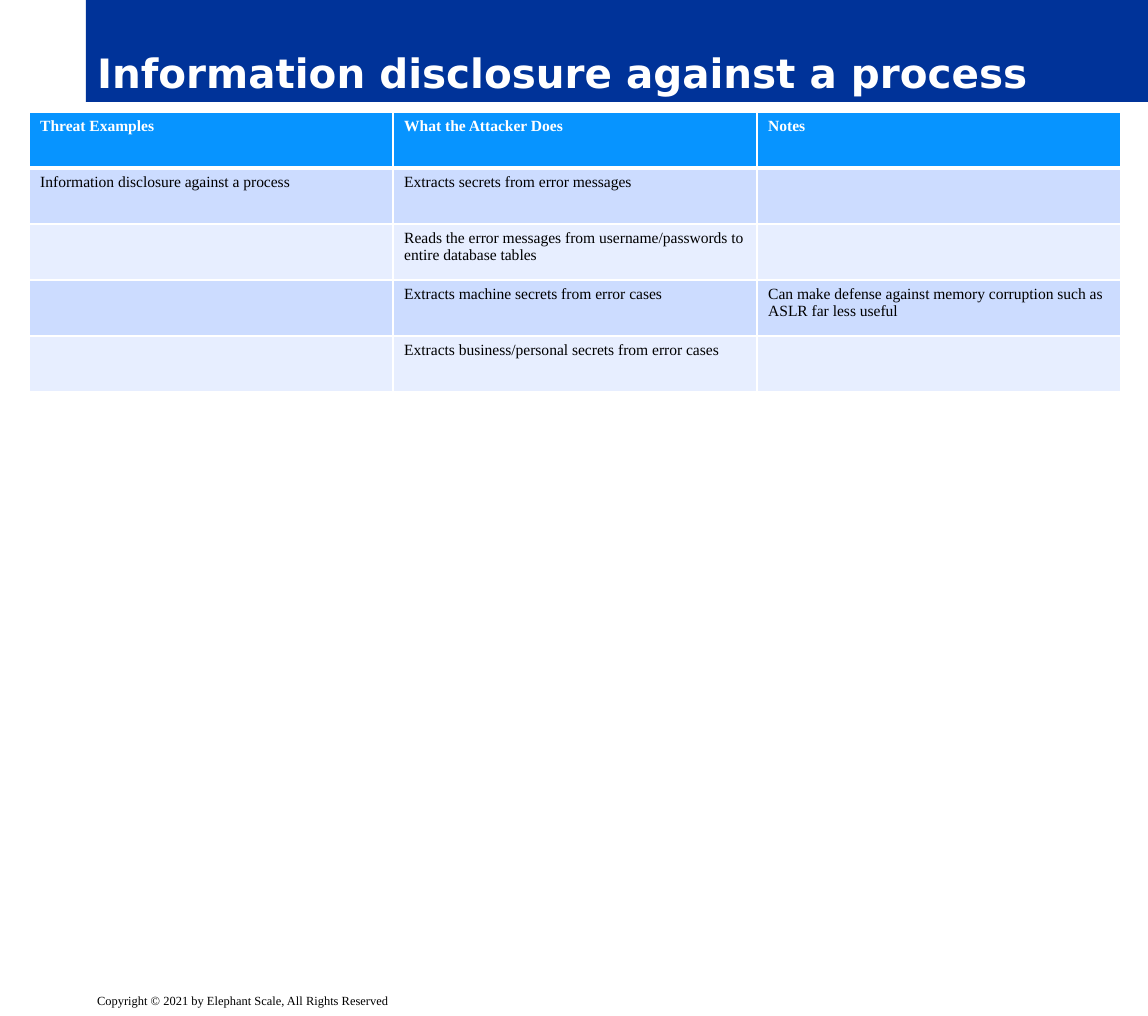
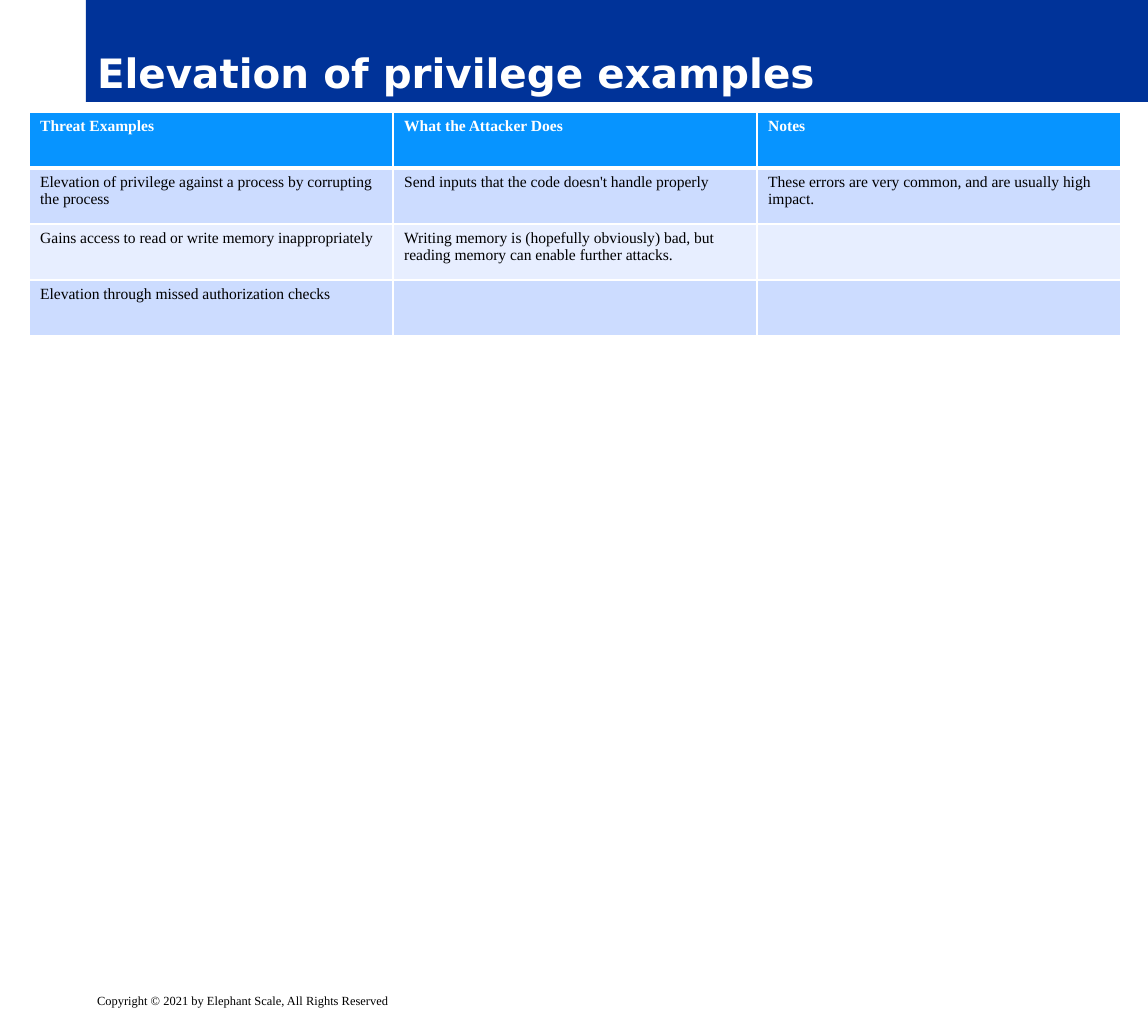
from dataclasses import dataclass

from lxml import etree
from pptx import Presentation
from pptx.dml.color import RGBColor
from pptx.enum.shapes import MSO_SHAPE
from pptx.enum.text import MSO_ANCHOR, PP_ALIGN
from pptx.oxml.ns import qn
from pptx.slide import Slide
from pptx.text.text import TextFrame
from pptx.util import Emu, Pt

RECT = MSO_SHAPE.RECTANGLE
TOP, BOTTOM = MSO_ANCHOR.TOP, MSO_ANCHOR.BOTTOM
LEFT = PP_ALIGN.LEFT


@dataclass(frozen=True)
class Style:
    font: str
    size: int
    color: str
    bold: bool = False


@dataclass(frozen=True)
class Theme:
    white: str = "FFFFFF"
    band: str = "003399"
    header: str = "0794FF"
    stripes: tuple[str, str] = ("CCDCFF", "E7EEFF")
    title: Style = Style("DejaVu Sans", 26, "FFFFFF", True)
    head: Style = Style("Times New Roman", 10, "FFFFFF", True)
    body: Style = Style("Times New Roman", 10, "000000")
    footer: Style = Style("Times New Roman", 8, "000000")
    thin: int = 1
    thick: int = 3


@dataclass(frozen=True)
class Box:
    left: int
    top: int
    width: int
    height: int


@dataclass(frozen=True)
class Page:
    title: str
    rows: list[tuple[str, str, str]]


THEME = Theme()
WIDE, HIGH = 1148, 1016
BAND = Box(86, 0, WIDE - 86, 102)
FOOTER = Box(86, HIGH - 28, 600, 28)
GRID_X, GRID_Y = 29, 112
COL, ROW = 364, 56
HEADS = ("Threat Examples", "What the Attacker Does", "Notes")
RIGHTS = "Copyright © 2021 by Elephant Scale, All Rights Reserved"

PAGES = [
    Page("Information disclosure against a process", [
        ("Information disclosure against a process",
         "Extracts secrets from error messages", ""),
        ("", "Reads the error messages from username/passwords to entire database tables", ""),
        ("", "Extracts machine secrets from error cases",
         "Can make defense against memory corruption such as ASLR far less useful"),
        ("", "Extracts business/personal secrets from error cases", ""),
    ]),
    Page("Elevation of privilege examples", [
        ("Elevation of privilege against a process by corrupting the process",
         "Send inputs that the code doesn't handle properly",
         "These errors are very common, and are usually high impact."),
        ("Gains access to read or write memory inappropriately",
         "Writing memory is (hopefully obviously) bad, but reading memory can enable further attacks.",
         ""),
        ("Elevation through missed authorization checks", "", ""),
    ]),
]


def px(count: int) -> Emu:
    return Emu(round(count * 914400 / 112))


def place(box: Box) -> tuple[Emu, Emu, Emu, Emu]:
    return px(box.left), px(box.top), px(box.width), px(box.height)


def paint(part, color: str) -> None:
    part.fill.solid()
    part.fill.fore_color.rgb = RGBColor.from_string(color)


def write(frame: TextFrame, text: str, style: Style) -> None:
    frame.word_wrap = True
    para = frame.paragraphs[0]
    para.alignment = LEFT
    run = para.add_run()
    run.text = text
    font = run.font
    font.name, font.size, font.bold = style.font, Pt(style.size), style.bold
    font.color.rgb = RGBColor.from_string(style.color)


def edge(cell, top: int, base: int) -> None:
    """Draw white cell borders; they must come before the fill."""
    props = cell._tc.get_or_add_tcPr()
    sides = {"lnL": THEME.thin, "lnR": THEME.thin, "lnT": top, "lnB": base}
    for spot, (side, width) in enumerate(sides.items()):
        line = etree.Element(qn(f"a:{side}"), w=str(Pt(width)))
        fill = etree.SubElement(line, qn("a:solidFill"))
        etree.SubElement(fill, qn("a:srgbClr"), val=THEME.white)
        props.insert(spot, line)


def add_band(slide: Slide, title: str) -> None:
    band = slide.shapes.add_shape(RECT, *place(BAND))
    band.shadow.inherit = False
    paint(band, THEME.band)
    band.line.fill.background()
    band.text_frame.vertical_anchor = BOTTOM
    write(band.text_frame, title, THEME.title)


def add_footer(slide: Slide) -> None:
    note = slide.shapes.add_textbox(*place(FOOTER))
    write(note.text_frame, RIGHTS, THEME.footer)


def add_grid(slide: Slide, rows: list[tuple[str, str, str]]) -> None:
    lines = [HEADS, *rows]
    box = Box(GRID_X, GRID_Y, COL * len(HEADS), ROW * len(lines))
    table = slide.shapes.add_table(len(lines), len(HEADS), *place(box)).table
    for col in table.columns:
        col.width = px(COL)
    for r, texts in enumerate(lines):
        table.rows[r].height = px(ROW)
        color = THEME.stripes[(r - 1) % 2] if r else THEME.header
        style = THEME.body if r else THEME.head
        # The thick rule lies between the header and the first row
        top = THEME.thick if r == 1 else THEME.thin
        base = THEME.thin if r else THEME.thick
        for c, text in enumerate(texts):
            cell = table.cell(r, c)
            cell.vertical_anchor = TOP
            paint(cell, color)
            edge(cell, top, base)
            if text:
                write(cell.text_frame, text, style)


def main() -> None:
    deck = Presentation()
    deck.slide_width, deck.slide_height = px(WIDE), px(HIGH)
    blank = deck.slide_layouts[6]
    for page in PAGES:
        slide = deck.slides.add_slide(blank)
        paint(slide.background, THEME.white)
        add_band(slide, page.title)
        add_footer(slide)
        add_grid(slide, page.rows)
    deck.save("out.pptx")


if __name__ == "__main__":
    main()
